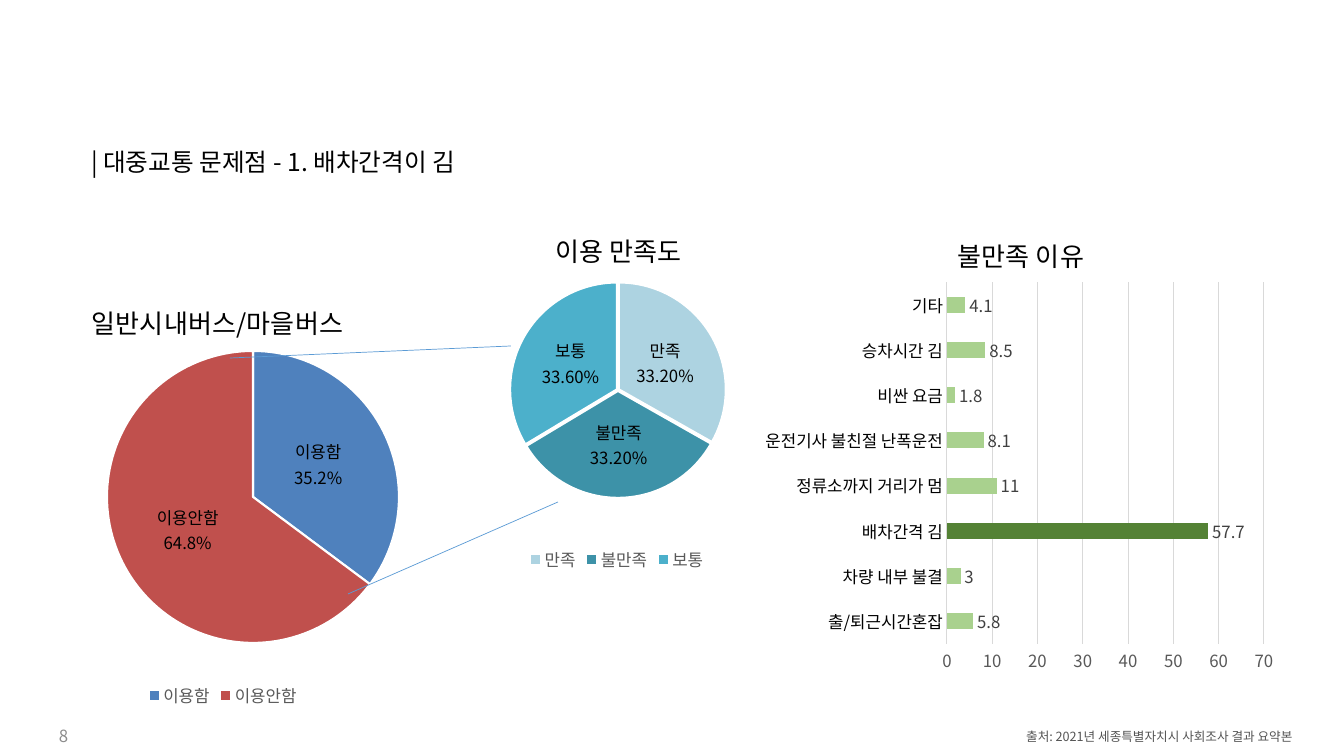
from lxml.etree import SubElement as Sub
from pptx import Presentation
from pptx.chart.data import CategoryChartData as Data
from pptx.dml.color import RGBColor
from pptx.enum.chart import XL_CHART_TYPE as Kind
from pptx.enum.chart import XL_LABEL_POSITION as Spot
from pptx.enum.chart import XL_LEGEND_POSITION as Side
from pptx.enum.chart import XL_TICK_MARK as Tick
from pptx.enum.shapes import MSO_CONNECTOR as Link
from pptx.enum.text import MSO_ANCHOR as Anchor
from pptx.enum.text import MSO_AUTO_SIZE as Fit
from pptx.enum.text import PP_ALIGN as Align
from pptx.oxml.ns import qn
from pptx.util import Pt

FONT = "Noto Sans CJK KR"
BLACK = RGBColor(0x00, 0x00, 0x00)
WHITE = RGBColor(0xFF, 0xFF, 0xFF)
DARK = RGBColor(0x40, 0x40, 0x40)
GRAY = RGBColor(0x59, 0x59, 0x59)
NOTE = RGBColor(0x54, 0x54, 0x54)
PALE = RGBColor(0x8C, 0x8C, 0x8C)
GRID = RGBColor(0xD9, 0xD9, 0xD9)
LINE = RGBColor(0x5B, 0x9B, 0xD5)
BLUE = RGBColor(0x4F, 0x81, 0xBD)
RED = RGBColor(0xC0, 0x50, 0x4D)
MIST = RGBColor(0xAD, 0xD3, 0xE1)
TEAL = RGBColor(0x3D, 0x92, 0xA8)
AQUA = RGBColor(0x4C, 0xB0, 0xCB)
LEAF = RGBColor(0xA9, 0xD1, 0x8E)
MOSS = RGBColor(0x54, 0x82, 0x35)

# Content: boxes are left, top, width, height in px
WIDTH, HEIGHT = 1344, 756
HEAD = "| 대중교통 문제점 - 1. 배차간격이 김"
SOURCE = "출처: 2021년 세종특별자치시 사회조사 결과 요약본"
PAGE = "8"
USAGE = dict(
    title="일반시내버스/마을버스", at=(87, 295),
    box=(-55, 274, 556, 438), plot=(107, 351, 292, 292),
    rows=[("이용함", 0.352), ("이용안함", 0.648)],
    tints=[BLUE, RED], form="0.0%", burst=0)
RATING = dict(
    title="이용 만족도", at=(551, 223),
    box=(286, 202, 662, 374), plot=(510, 282, 216, 216),
    rows=[("만족", 0.332), ("불만족", 0.332), ("보통", 0.336)],
    tints=[MIST, TEAL, AQUA], form="0.00%", burst=1)
REASON = dict(
    title="불만족 이유", at=(953, 228),
    box=(755, 205, 528, 479), plot=(947, 282, 317, 362),
    rows=[("출/퇴근시간혼잡", 5.8), ("차량 내부 불결", 3),
          ("배차간격 김", 57.7), ("정류소까지 거리가 멈", 11),
          ("운전기사 불친절 난폭운전", 8.1), ("비싼 요금", 1.8),
          ("승차시간 김", 8.5), ("기타", 4.1)])
LINKS = [(230, 358, 511, 346), (348, 594, 558, 502)]

SCALE = 12192000 / WIDTH


def emu(*nums):
    return [round(n * SCALE) for n in nums]


def style(font, size, color):
    font.name, font.size, font.bold = FONT, Pt(size), False
    font.color.rgb = color


def hangul(root):
    """Give East Asian text the same typeface as Latin text."""
    for latin in list(root.iter(qn("a:latin"))):
        east = latin.makeelement(qn("a:ea"), {"typeface": FONT})
        latin.addnext(east)


def write(frame, text, size=12, color=BLACK, align=Align.LEFT,
          anchor=Anchor.TOP, space=None):
    frame.word_wrap, frame.auto_size = True, Fit.NONE
    frame.vertical_anchor = anchor
    para = frame.paragraphs[0]
    para.alignment, para.line_spacing = align, space
    run = para.add_run()
    run.text = text
    style(run.font, size, color)
    hangul(run._r)


def place(node, box, area, inner=False):
    """Fix a chart part at an area of the slide."""
    for old in node.findall(qn("c:layout")):
        node.remove(old)
    lay = node.makeelement(qn("c:layout"), {})
    text = node.find(qn("c:tx"))
    node.insert(0 if text is None else 1, lay)
    man = Sub(lay, qn("c:manualLayout"))
    if inner:
        Sub(man, qn("c:layoutTarget"), val="inner")
    for key in "xy":
        Sub(man, qn(f"c:{key}Mode"), val="edge")
    start = (box[0], box[1], 0, 0)
    for i, num in enumerate(area):
        part = (num - start[i]) / box[2 + i % 2]
        Sub(man, qn("c:" + "xywh"[i]), val=f"{part:.4f}")


def graph(kind, info):
    data = Data()
    data.categories = [name for name, _ in info["rows"]]
    data.add_series("Series 1", [val for _, val in info["rows"]])
    box = info["box"]
    chart = slide.shapes.add_chart(kind, *emu(*box), data).chart
    style(chart.font, 10, BLACK)
    chart.has_legend = False
    title = chart.chart_title.text_frame
    run = title.paragraphs[0].add_run()
    run.text = info["title"]
    style(run.font, 18.6, BLACK)
    root = chart._chartSpace
    body = root.find(qn("c:chart"))
    place(body.find(qn("c:title")), box, info["at"])
    place(body.find(qn("c:plotArea")), box, info["plot"], inner=True)
    clear = root.makeelement(qn("c:spPr"), {})
    Sub(clear, qn("a:noFill"))
    Sub(Sub(clear, qn("a:ln")), qn("a:noFill"))
    body.addnext(clear)
    plot = chart.plots[0]
    plot.has_data_labels = True
    plot.data_labels.show_value = True
    return chart, plot, plot.series[0]


def paint(part, color):
    part.format.fill.solid()
    part.format.fill.fore_color.rgb = color


def pie(info):
    chart, plot, series = graph(Kind.PIE, info)
    plot.vary_by_categories = True
    for i, tint in enumerate(info["tints"]):
        point = series.points[i]
        paint(point, tint)
        point.format.line.color.rgb = WHITE
        point.format.line.width = Pt(1.5)
    if info["burst"]:
        burst = series._element.makeelement(
            qn("c:explosion"), {"val": str(info["burst"])})
        series._element.find(qn("c:dPt")).addprevious(burst)
    tags = plot.data_labels
    tags.show_category_name = True
    tags.number_format, tags.number_format_is_linked = info["form"], False
    tags.position = Spot.CENTER
    style(tags.font, 12, BLACK)
    gap = tags._element.makeelement(qn("c:separator"), {})
    gap.text = "\n"
    tags._element.find(qn("c:showBubbleSize")).addnext(gap)
    chart.has_legend = True
    chart.legend.position = Side.BOTTOM
    chart.legend.include_in_layout = False
    style(chart.legend.font, 12, GRAY)
    hangul(chart._chartSpace)


def bars(info):
    chart, plot, series = graph(Kind.BAR_CLUSTERED, info)
    plot.vary_by_categories, plot.gap_width = False, 182
    paint(series, LEAF)
    paint(series.points[2], MOSS)
    plot.data_labels.position = Spot.OUTSIDE_END
    style(plot.data_labels.font, 12, DARK)
    cat, val = chart.category_axis, chart.value_axis
    for axis, color in ((cat, BLACK), (val, GRAY)):
        axis.major_tick_mark = axis.minor_tick_mark = Tick.NONE
        style(axis.tick_labels.font, 12, color)
    val.minimum_scale, val.maximum_scale, val.major_unit = 0, 70, 10
    val.format.line.fill.background()
    val.has_major_gridlines = True
    for line in (cat.format.line, val.major_gridlines.format.line):
        line.color.rgb, line.width = GRID, Pt(0.75)
    hangul(chart._chartSpace)


def label(box, text, **look):
    write(slide.shapes.add_textbox(*emu(*box)).text_frame, text, **look)


deck = Presentation()
deck.slide_width, deck.slide_height = emu(WIDTH, HEIGHT)
slide = deck.slides.add_slide(deck.slide_layouts[5])

# Heading
head = slide.shapes.title
head.left, head.top, head.width, head.height = emu(81, 125, 1100, 77)
write(head.text_frame, HEAD, size=17.6, anchor=Anchor.MIDDLE, space=0.9)

# Charts, with lines leading from usage to rating
pie(USAGE)
for ends in LINKS:
    link = slide.shapes.add_connector(Link.STRAIGHT, *emu(*ends))
    link.line.color.rgb, link.line.width = LINE, Pt(0.5)
    Sub(link._element.spPr, qn("a:effectLst"))
pie(RATING)
bars(REASON)

# Source and page number
label((845, 724, 457, 25), SOURCE, size=9, color=NOTE, align=Align.RIGHT)
label((49, 716, 302, 40), PAGE, color=PALE, anchor=Anchor.MIDDLE)

deck.save("out.pptx")
